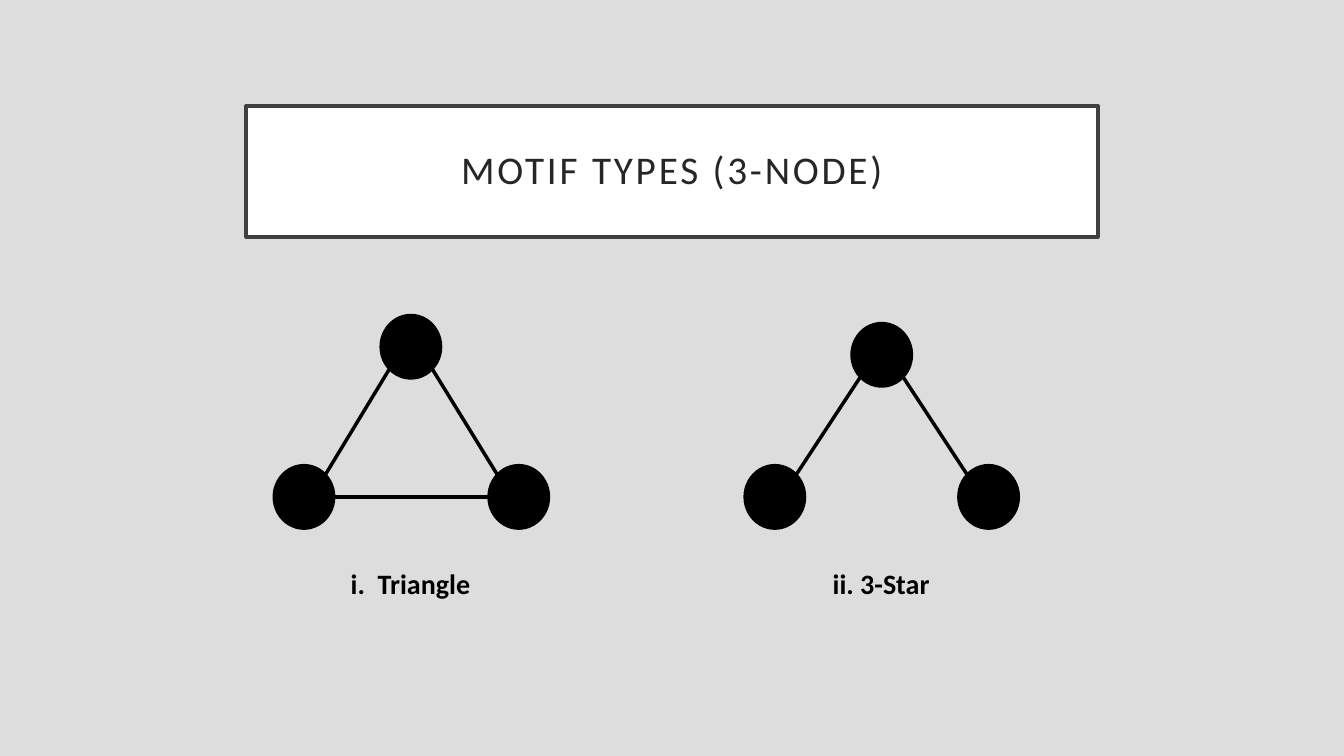
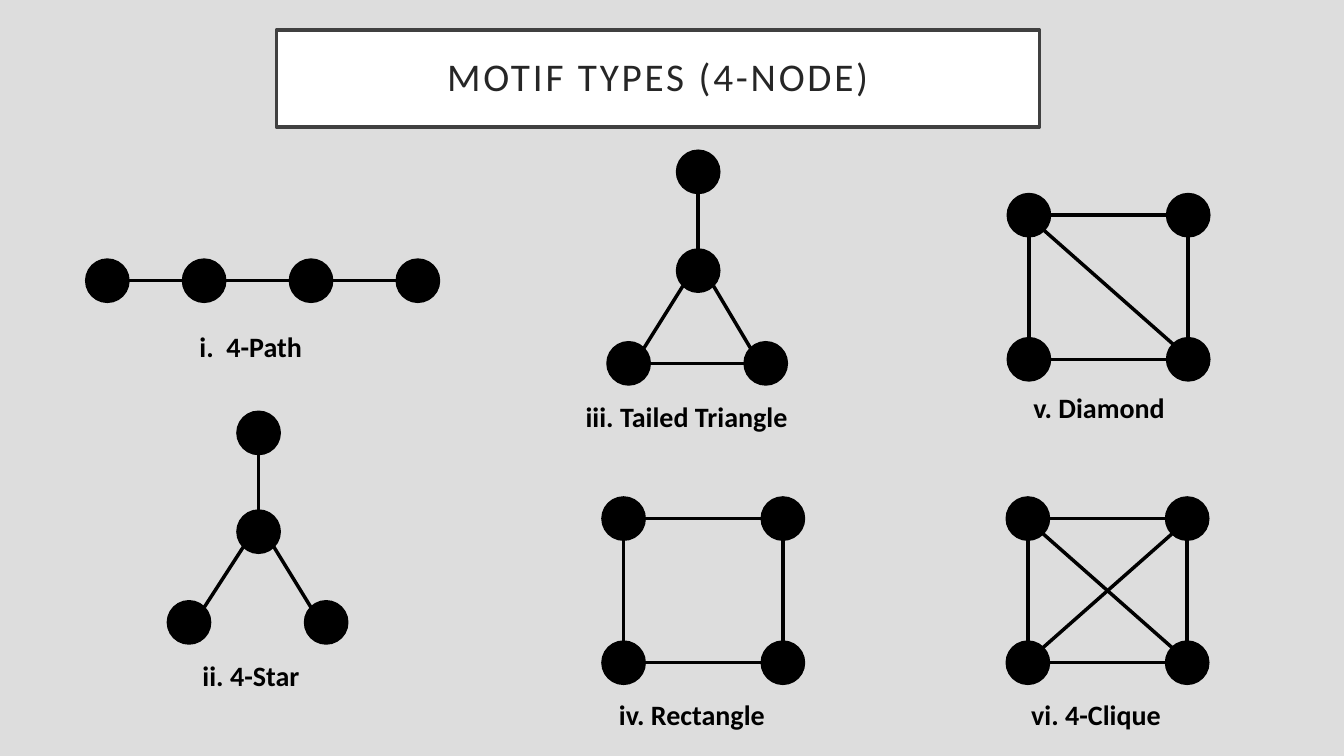
from math import sqrt

from pptx import Presentation
from pptx.dml.color import RGBColor
from pptx.enum.shapes import MSO_CONNECTOR, MSO_SHAPE
from pptx.enum.text import MSO_ANCHOR, MSO_AUTO_SIZE, PP_ALIGN
from pptx.oxml.ns import qn
from pptx.util import Inches, Pt

# Shared style
FONT = "Calibri"
BACKGROUND, PANEL, FRAME = "DDDDDD", "FFFFFF", "404040"
TITLE_INK, INK = "262626", "000000"
LINE_WIDTH = 2.5
CAPTION_HEIGHT = 0.44

# Edges of each motif, as pairs of node indexes
TRIANGLE = [(0, 1), (1, 2), (0, 2)]
STAR_3 = [(0, 1), (1, 2)]
PATH_4 = [(0, 1), (1, 2), (2, 3)]
STAR_4 = [(0, 1), (1, 2), (1, 3)]
TAILED = STAR_4 + [(2, 3)]
RECTANGLE = [(0, 1), (1, 2), (2, 3), (3, 0)]
DIAMOND = RECTANGLE + [(0, 2)]
CLIQUE_4 = DIAMOND + [(1, 3)]


def paint(color_format, color):
    color_format.rgb = RGBColor.from_string(color)


def fill_shape(sp, color):
    sp.fill.solid()
    paint(sp.fill.fore_color, color)


def outline(sp, color, width):
    sp.line.width = Pt(width)
    sp.line.fill.solid()
    paint(sp.line.fill.fore_color, color)


def add_run(p, text, size, color, bold=False):
    r = p.add_run()
    r.text = text
    r.font.name = FONT
    r.font.size = Pt(size)
    r.font.bold = bold
    paint(r.font.color, color)
    return r


def set_title(s, text, left, top, width, height):
    sp = s.shapes.title
    sp.left, sp.top = Inches(left), Inches(top)
    sp.width, sp.height = Inches(width), Inches(height)
    fill_shape(sp, PANEL)
    outline(sp, FRAME, LINE_WIDTH)
    tf = sp.text_frame
    tf.word_wrap = True
    tf.auto_size = MSO_AUTO_SIZE.NONE
    tf.vertical_anchor = MSO_ANCHOR.MIDDLE
    tf.margin_left = tf.margin_right = Inches(0.2)
    tf.margin_top = tf.margin_bottom = Inches(0.2)
    p = tf.paragraphs[0]
    p.alignment = PP_ALIGN.CENTER
    p.line_spacing = 0.9
    r = add_run(p, text, 28, TITLE_INK)
    r.font._element.set("spc", "200")  # letter spacing of 2 pt


def add_node(s, left, top, size):
    width, height = size
    sp = s.shapes.add_shape(MSO_SHAPE.OVAL, Inches(left), Inches(top),
                            Inches(width), Inches(height))
    sp.shadow.inherit = False
    fill_shape(sp, INK)
    outline(sp, INK, 1)


def direction(delta):
    """Sign of an offset in inches; tiny offsets count as aligned."""
    return 0 if abs(delta) < 0.1 else (1 if delta > 0 else -1)


def add_edge(s, start, end, size):
    """Join two nodes at the rim: on the axis, or at 45 degrees."""
    dx, dy = (direction(b - a) for a, b in zip(start, end))
    reach = 1 / sqrt(2) if dx and dy else 1

    def rim(node, sign):
        return [Inches(pos + extent / 2 * (1 + sign * d * reach))
                for pos, extent, d in zip(node, size, (dx, dy))]

    line = s.shapes.add_connector(MSO_CONNECTOR.STRAIGHT,
                                  *rim(start, 1), *rim(end, -1))
    outline(line, INK, LINE_WIDTH)
    sp_pr = line._element.spPr
    sp_pr.append(sp_pr.makeelement(qn("a:effectLst"), {}))


def add_caption(s, text, left, top, width):
    sp = s.shapes.add_textbox(Inches(left), Inches(top),
                              Inches(width), Inches(CAPTION_HEIGHT))
    tf = sp.text_frame
    tf.word_wrap = False
    tf.auto_size = MSO_AUTO_SIZE.SHAPE_TO_FIT_TEXT
    add_run(tf.paragraphs[0], text, 20, INK, bold=True)


def add_motif(s, nodes, edges, size, caption):
    for left, top in nodes:
        add_node(s, left, top, size)
    for a, b in edges:
        add_edge(s, nodes[a], nodes[b], size)
    add_caption(s, *caption)


def square(left, top):
    """Corner nodes, clockwise from the top left."""
    right, bottom = left + 1.58, top + 1.43
    return [(left, top), (right, top), (right, bottom), (left, bottom)]


def fork(left, top, drop):
    """A tail node, a hub below it and two feet."""
    hub, feet = top + 0.98, top + 0.98 + drop
    return [(left, top), (left, hub), (left - 0.69, feet), (left + 0.67, feet)]


def add_slide(prs, title, box, size, motifs):
    s = prs.slides.add_slide(prs.slide_layouts.get_by_name("Title Only"))
    set_title(s, title, *box)
    for nodes, edges, caption in motifs:
        add_motif(s, nodes, edges, size, caption)


def main():
    prs = Presentation()
    prs.slide_width, prs.slide_height = Inches(13.33), Inches(7.5)
    background = prs.slide_master.background.fill
    background.solid()
    paint(background.fore_color, BACKGROUND)

    # Motifs with three nodes
    add_slide(prs, "MOTIF TYPES (3-NODE)", (2.44, 1.05, 8.45, 1.3), (0.61, 0.64), [
        ([(2.71, 4.61), (3.77, 3.12), (4.84, 4.61)], TRIANGLE,
         ("i.  Triangle", 3.38, 5.57, 1.5)),
        ([(7.38, 4.61), (8.44, 3.2), (9.5, 4.61)], STAR_3,
         ("ii. 3-Star", 8.16, 5.57, 1.28)),
    ])

    # Motifs with four nodes
    add_slide(prs, "MOTIF TYPES (4-NODE)", (2.74, 0.3, 7.57, 0.96), (0.43, 0.43), [
        ([(x, 2.57) for x in (0.85, 1.81, 2.87, 3.93)], PATH_4,
         ("i.  4-Path", 1.88, 3.22, 1.33)),
        (fork(2.35, 4.08, 0.9), STAR_4, ("ii. 4-Star", 1.91, 6.48, 1.28)),
        (fork(6.71, 1.49, 0.92), TAILED,
         ("iii. Tailed Triangle", 5.71, 3.91, 2.39)),
        (square(5.97, 4.93), RECTANGLE, ("iv. Rectangle", 6.04, 6.87, 1.82)),
        (square(9.99, 1.92), DIAMOND, ("v. Diamond", 10.15, 3.82, 1.66)),
        (square(9.98, 4.93), CLIQUE_4, ("vi. 4-Clique", 10.13, 6.87, 1.64)),
    ])

    prs.save("out.pptx")


if __name__ == "__main__":
    main()
